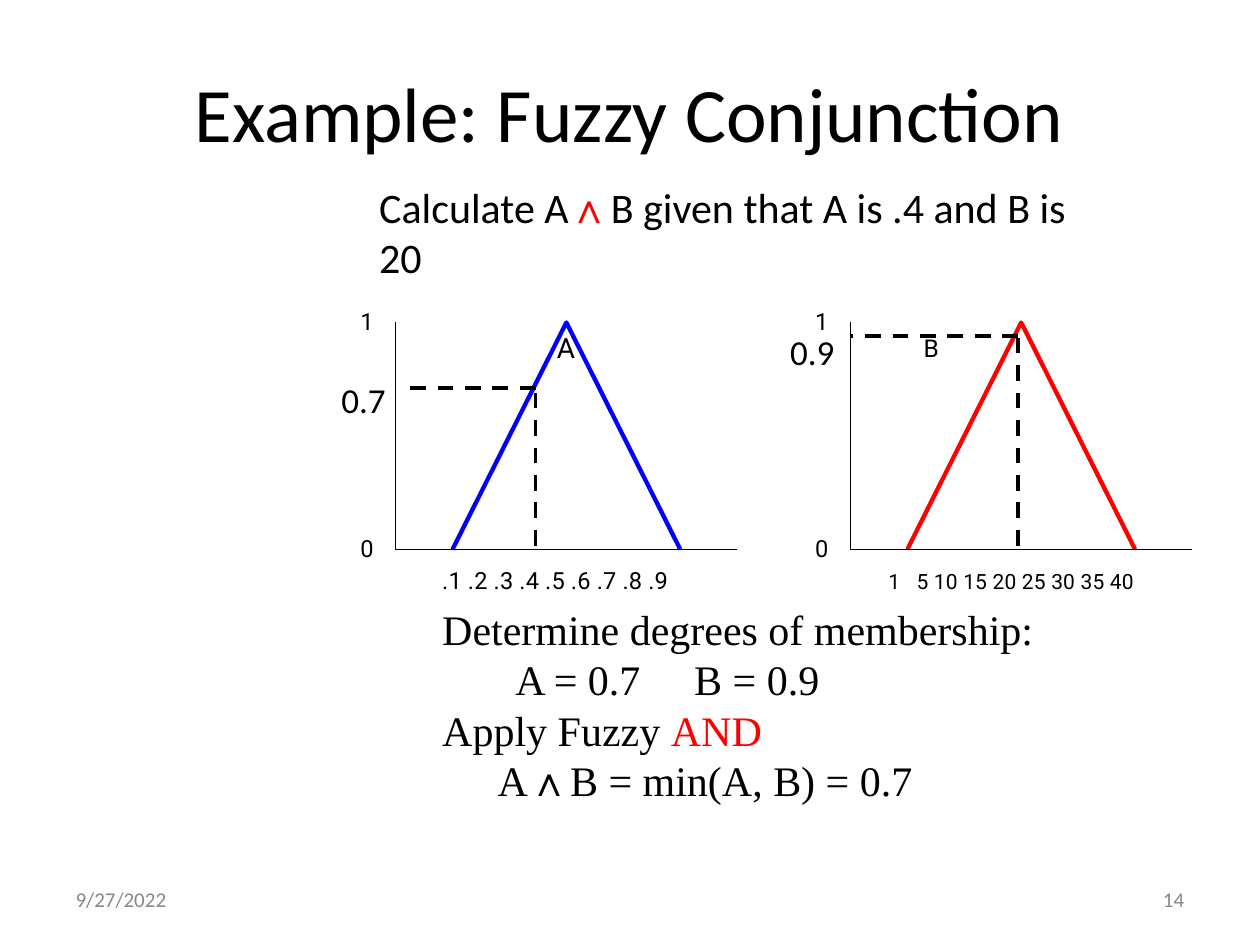
from lxml.etree import SubElement
from pptx import Presentation
from pptx.dml.color import RGBColor as Rgb
from pptx.enum.dml import MSO_LINE as Dash
from pptx.enum.text import MSO_ANCHOR as Anchor, MSO_AUTO_SIZE as Auto, PP_ALIGN as Align
from pptx.oxml.ns import qn
from pptx.util import Inches as In, Pt

THEME = {
    "ink": "000000", "red": "FF0000", "blue": "0000FF", "gray": "888888",
    "head": 44, "body": 24, "mark": 20, "axis": 13.5, "foot": 12,
    "sans": "Calibri", "serif": "Times New Roman", "plot": "Roboto", "sign": "Arial",
}
TITLE = "Example: Fuzzy Conjunction"
# A run is a plain string or (text, colour, font, letter spacing in points)
ASK = ["Calculate A", ("∧", "red", "sign", 0), "B given that A is .4 and B is 20"]
# Each step: left indent, first-line indent, runs
STEPS = [
    (0.01, 0, ["Determine degrees of membership:"]),
    (0.51, 0.08, ["A = 0.7\tB = 0.9"]),
    (0.01, 0, ["Apply Fuzzy ", ("AND", "red", "serif", 0)]),
    (0.45, 0, ["A", ("∧", "ink", "sign", 0), "B = min(A, B) = 0.7"]),
]
PLOTS = [
    {"left": 3.14, "color": "blue", "name": "A", "name at": (4.42, 2.61), "name size": 16,
     "ticks": [(".1 .2 .3 .4 .5 .6 .7 .8 .9", "ink", "plot", 0.1)],
     "ticks at": (3.51, 4.48), "tick size": 13.5,
     "mark": "0.7", "mark at": (2.71, 2.99), "hit": (4.25, 3.08), "from": 3.17},
    {"left": 6.75, "color": "red", "name": "B", "name at": (7.33, 2.63), "name size": 14,
     "ticks": ["1", (" ", "ink", "plot", 6.5),
               ("5 10 15 20 25 30 35 40", "ink", "plot", 0.1)],
     "ticks at": (7.05, 4.5), "tick size": 12,
     "mark": "0.9", "mark at": (6.27, 2.61), "hit": (8.08, 2.67), "from": 6.75},
]
TOP, BASE, STEP = 2.56, 4.36, 2.71 / 6
FOOT = [("9/27/2022", 0.6), ("14", 9.23)]


def color(key):
    """Return a theme colour."""
    return Rgb.from_string(THEME[key])


def fill(frame, rows, size, font, ink="ink"):
    """Write rows of runs; a plain string takes the given font and ink."""
    frame.word_wrap, frame.auto_size = True, Auto.NONE
    frame.vertical_anchor = Anchor.TOP
    frame.margin_left = frame.margin_right = frame.margin_bottom = 0
    frame.margin_top = In(0.01)
    for num, row in enumerate(rows):
        para = frame.add_paragraph() if num else frame.paragraphs[0]
        para.space_before = Pt(0)
        for part in row:
            text, hue, face, gap = (part, ink, font, 0) if isinstance(part, str) else part
            run = para.add_run()
            run.text = text
            run.font.name, run.font.size = THEME[face], Pt(size)
            run.font.color.rgb = color(hue)
            if gap:
                run._r.get_or_add_rPr().set("spc", str(int(gap * 100)))


def place(shape, left, top, width, height):
    """Move a placeholder."""
    shape.left, shape.top, shape.width, shape.height = map(In, (left, top, width, height))


def label(row, at, width, size, font, ink="ink"):
    """Add a text box with one paragraph."""
    box = shapes.add_textbox(In(at[0]), In(at[1]), In(width), In(size / 60))
    fill(box.text_frame, [row], size, font, ink)


def trace(strokes, hue, width, style=None):
    """Draw open strokes as one outline."""
    pen = None
    for stroke in strokes:
        (x, y), *rest = [(In(a), In(b)) for a, b in stroke]
        if pen:
            pen.move_to(x, y)
        else:
            pen = shapes.build_freeform(x, y)
        pen.add_line_segments(rest, close=False)
    shape = pen.convert_to_shape()
    shape.shadow.inherit = False
    shape.fill.background()
    shape.line.color.rgb, shape.line.width = color(hue), Pt(width)
    if style:
        shape.line.dash_style = style


def draw(plot):
    """Draw one membership plot with its axes, guides and labels."""
    left, (x, y) = plot["left"], plot["hit"]
    trace([[(left + STEP, BASE), (left + 3 * STEP, TOP), (left + 5 * STEP, BASE)]],
          plot["color"], 2.48)
    trace([[(left, TOP), (left, BASE), (left + 6 * STEP, BASE)]], "ink", 0.83)
    trace([[(x, BASE - 0.03), (x, y)], [(x, y), (plot["from"], y)]],
          "ink", 2.25, Dash.DASH)
    for text, top in (("1", TOP), ("0", BASE)):
        label([text], (left - 0.28, top - 0.13), 0.15, THEME["axis"], "plot")
    label([plot["name"]], plot["name at"], 0.25, plot["name size"], "plot")
    label([plot["mark"]], plot["mark at"], 0.45, THEME["mark"], "sans")
    label(plot["ticks"], plot["ticks at"], 2.2, plot["tick size"], "plot")


deck = Presentation()
deck.slide_width, deck.slide_height = In(10), In(7.5)
slide = deck.slides.add_slide(deck.slide_layouts[1])
shapes = slide.shapes

title, steps = slide.placeholders
place(title, 1.53, 0.51, 6.93, 0.76)
fill(title.text_frame, [[TITLE]], THEME["head"], "sans")
title.text_frame.paragraphs[0].alignment = Align.CENTER

label(ASK, (3.01, 1.43), 5.74, THEME["body"], "sans")
for plot in PLOTS:
    draw(plot)

place(steps, 3.5, 4.78, 4.75, 1.63)
fill(steps.text_frame, [row for _, _, row in STEPS], THEME["body"], "serif")
for para, (left, first, _) in zip(steps.text_frame.paragraphs, STEPS):
    props = para._p.get_or_add_pPr()
    props.set("marL", str(In(left)))
    props.set("indent", str(In(first)))
    SubElement(props, qn("a:buNone"))

for text, left in FOOT:
    label([text], (left, 7.03), 0.8, THEME["foot"], "sans", "gray")

deck.save("out.pptx")
